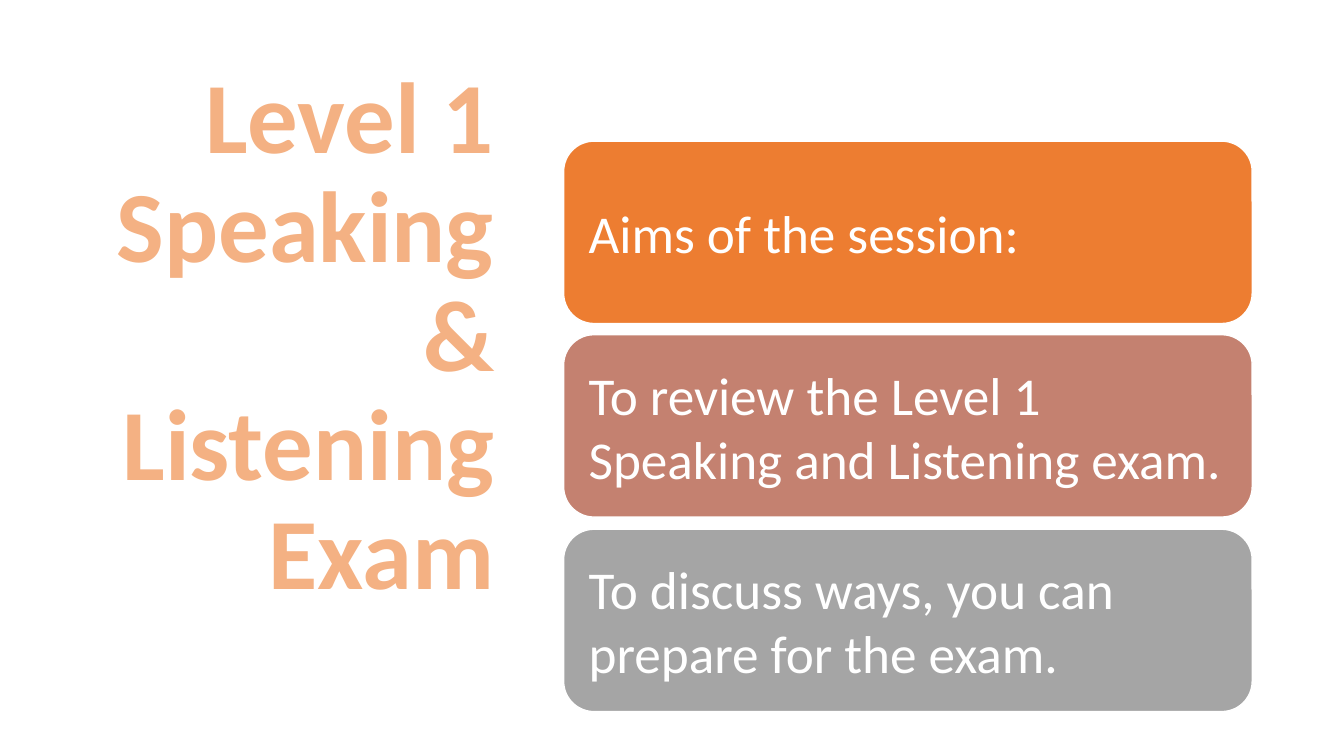
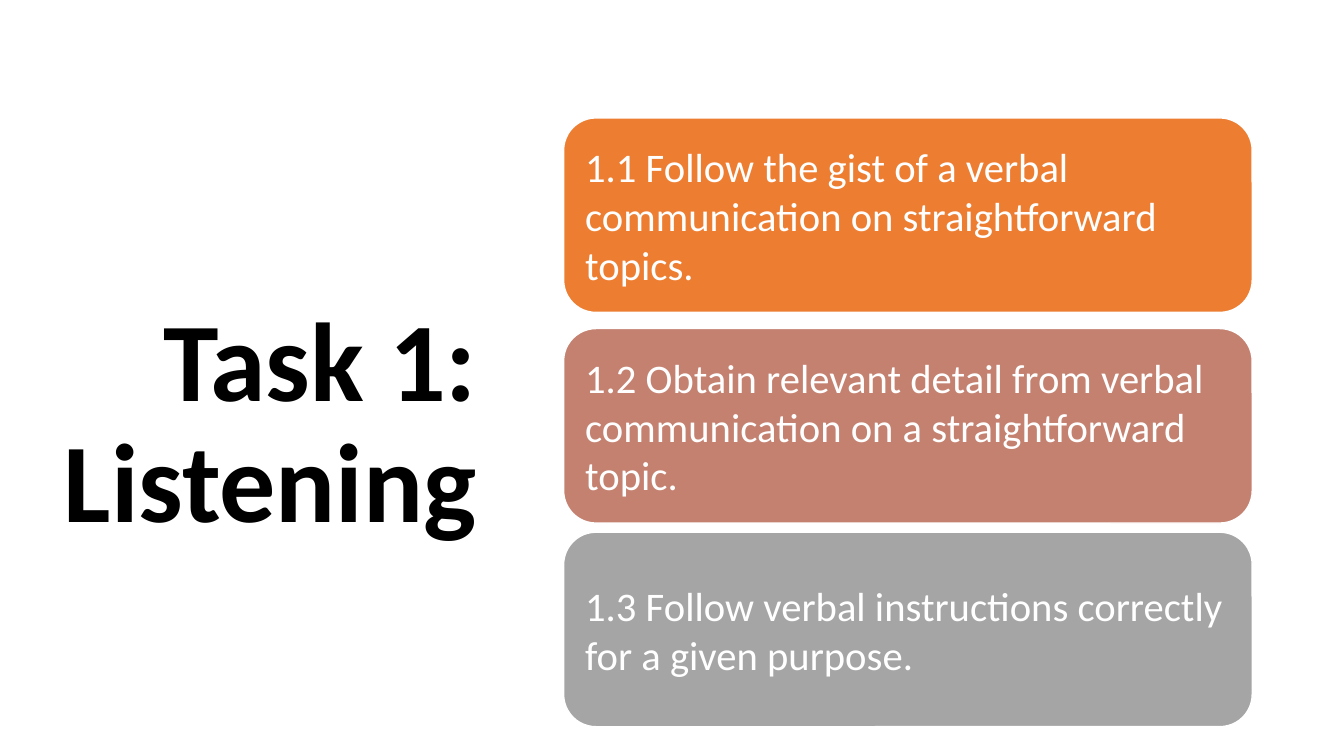
from pptx import Presentation
from pptx.dml.color import RGBColor
from pptx.enum.shapes import MSO_SHAPE
from pptx.enum.text import MSO_ANCHOR, PP_ALIGN
from pptx.util import Inches, Pt

COLOURS = {
    "orange": "ED7D31",
    "terracotta": "C48170",
    "grey": "A5A5A5",
    "peach": "F4B183",
    "black": "000000",
    "white": "FFFFFF",
}
CARD_FILLS = ("orange", "terracotta", "grey")
CARD_LEFT, CARD_WIDTH = 5.59, 6.83
FONT_NAME = "Calibri"

SLIDES = [
    {
        "title": "Level 1 Speaking & Listening Exam",
        "title_box": (0.69, 0.42, 4.31, 5.88),
        "title_font": {"size": Pt(72), "colour": "peach"},
        "cards": [
            "Aims of the session:",
            "To review the Level 1 Speaking and Listening exam.",
            "To discuss ways, you can prepare for the exam.",
        ],
        "card_tops": (1.4, 3.32, 5.25),
        "card_height": 1.81,
        "card_inset": 0.16,
        "card_size": Pt(38),
    },
    {
        "title": "Task 1: Listening",
        "title_box": (0.52, 1.17, 4.31, 6.11),
        "title_font": {"size": Pt(80), "colour": "black"},
        "cards": [
            "1.1 Follow the gist of a verbal communication on straightforward topics.",
            "1.2 Obtain relevant detail from verbal communication on a straightforward topic.",
            "1.3 Follow verbal instructions correctly for a given purpose.",
        ],
        "card_tops": (1.17, 3.26, 5.28),
        "card_height": 1.93,
        "card_inset": 0.12,
        "card_size": Pt(29),
    },
]


def colour(name):
    return RGBColor.from_string(COLOURS[name])


def write_text(shape, text, alignment, line_spacing, font_colour, **font_format):
    frame = shape.text_frame
    frame.word_wrap = True
    frame.vertical_anchor = MSO_ANCHOR.MIDDLE
    paragraph = frame.paragraphs[0]
    paragraph.text = text
    paragraph.alignment = alignment
    paragraph.line_spacing = line_spacing
    font = paragraph.runs[0].font
    for attribute, value in {"name": FONT_NAME, **font_format}.items():
        setattr(font, attribute, value)
    font.color.rgb = colour(font_colour)


def add_title(slide, box, text, size, font_colour):
    title = slide.shapes.add_textbox(*map(Inches, box))
    write_text(title, text, PP_ALIGN.RIGHT, 0.9, font_colour, size=size, bold=True)


def add_card(slide, box, text, fill, inset, size):
    card = slide.shapes.add_shape(MSO_SHAPE.ROUNDED_RECTANGLE, *map(Inches, box))
    card.shadow.inherit = False
    card.fill.solid()
    card.fill.fore_color.rgb = colour(fill)
    card.line.color.rgb = colour("white")
    card.line.width = Pt(1)
    for side in ("left", "top", "right", "bottom"):
        setattr(card.text_frame, f"margin_{side}", Inches(inset))
    write_text(card, text, PP_ALIGN.LEFT, 1.0, "white", size=size)


def add_title_and_cards(presentation, content):
    slide = presentation.slides.add_slide(presentation.slide_layouts[6])
    title_font = content["title_font"]
    add_title(slide, content["title_box"], content["title"],
              title_font["size"], title_font["colour"])
    for text, top, fill in zip(content["cards"], content["card_tops"], CARD_FILLS):
        box = (CARD_LEFT, top, CARD_WIDTH, content["card_height"])
        add_card(slide, box, text, fill, content["card_inset"], content["card_size"])


def main():
    presentation = Presentation()
    presentation.slide_width = Inches(13.33)
    presentation.slide_height = Inches(7.5)
    for content in SLIDES:
        add_title_and_cards(presentation, content)
    presentation.save("out.pptx")


if __name__ == "__main__":
    main()
